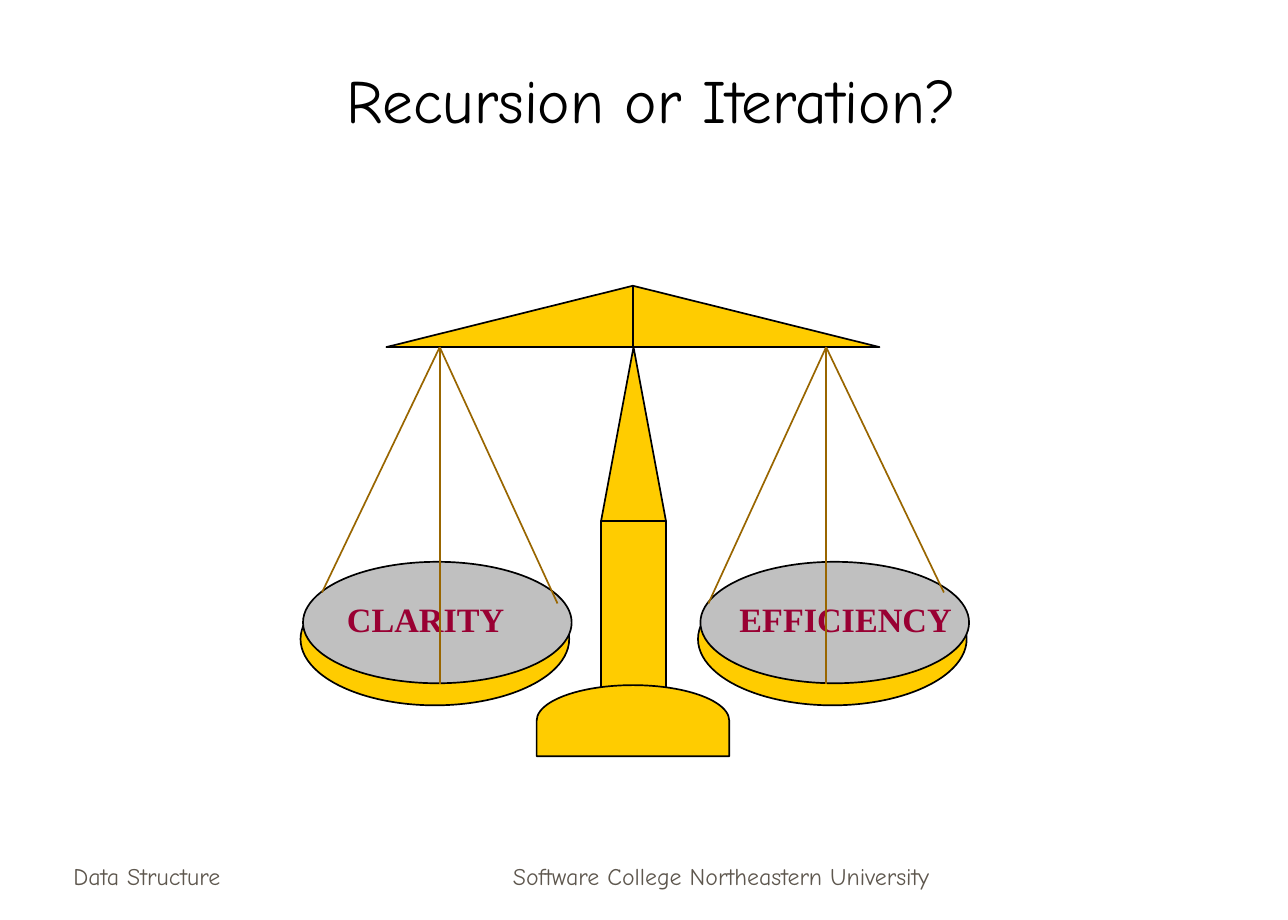
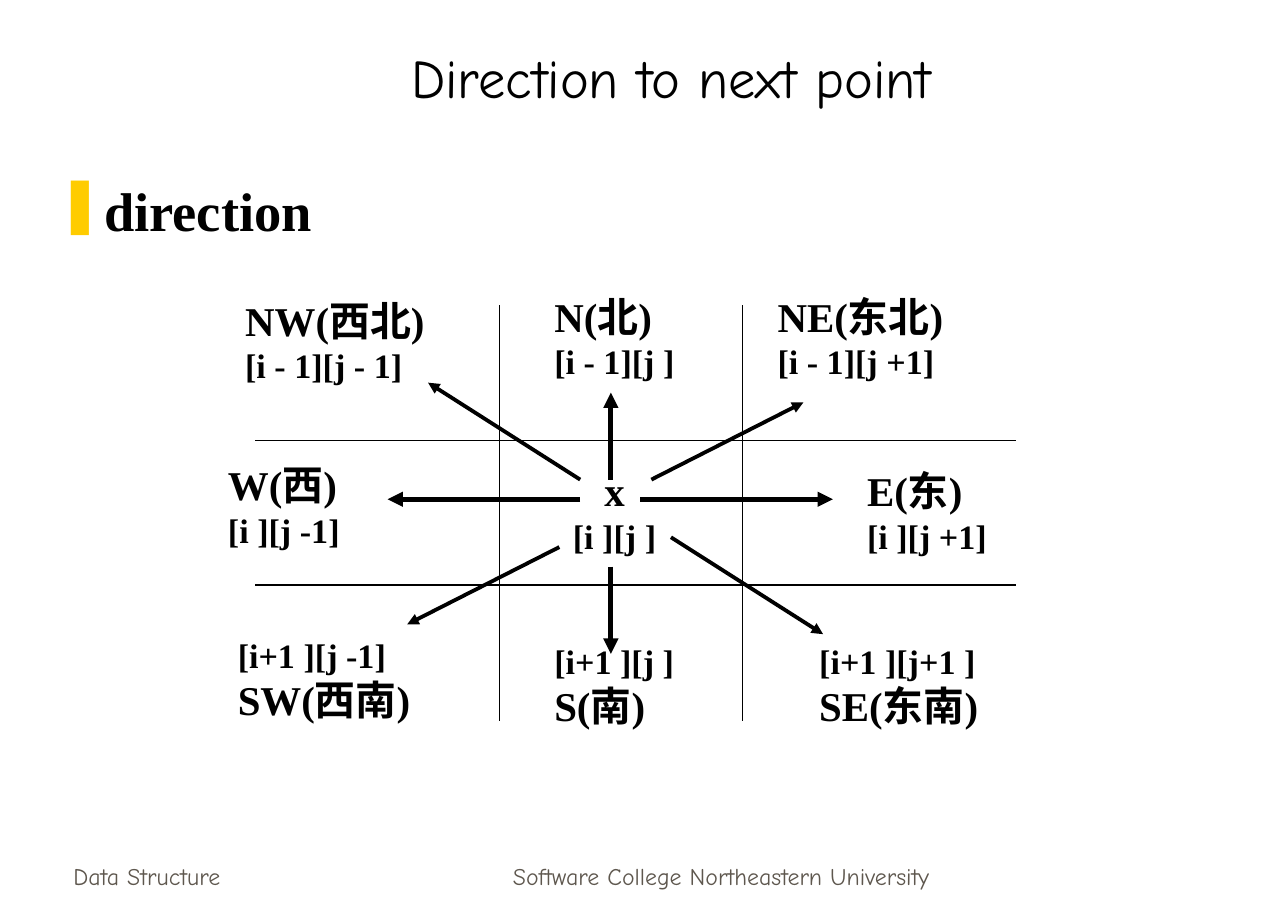
from dataclasses import dataclass

from lxml.etree import SubElement
from pptx import Presentation
from pptx.dml.color import RGBColor
from pptx.enum.shapes import MSO_CONNECTOR, MSO_SHAPE
from pptx.enum.text import MSO_ANCHOR, MSO_AUTO_SIZE, PP_ALIGN
from pptx.oxml.ns import qn
from pptx.util import Inches, Pt


@dataclass(frozen=True)
class Theme:
    ink: str = "000000"
    gold: str = "FFCC00"
    silver: str = "C0C0C0"
    string: str = "996600"
    wine: str = "990033"
    footer: str = "5E574E"
    hand: str = "Comic Neue"
    serif: str = "Times New Roman"
    outline: float = 1
    grid: float = 0.75
    straight_arrow: float = 3
    diagonal_arrow: float = 2.25

    def style(self, size, color, name, bold=False):
        return {"size": Pt(size), "name": name, "bold": bold, "color": color}


T = Theme()
TITLE = T.style(36, T.ink, T.hand)
SMALL_TITLE = T.style(32, T.ink, T.hand)
FOOTER = T.style(14, T.footer, T.hand)
BULLET = T.style(32, T.ink, T.serif, True)
PAN_LABEL = T.style(20, T.wine, T.serif, True)
COMPASS = T.style(24, T.ink, T.serif, True)
INDEX = T.style(20, T.ink, T.serif, True)

FOOTERS = [
    ((0.5, 6.81, 2.19, 0.5), "Data Structure", PP_ALIGN.LEFT),
    ((3.59, 6.81, 4.58, 0.5), "Software College Northeastern University", PP_ALIGN.CENTER),
]

# left, top, width, lines
DIRECTIONS = [
    (1.9, 2.36, 1.82, ("NW(西北)", "[i - 1][j - 1]")),
    (4.42, 2.33, 1.18, ("N(北)", "[i - 1][j ]")),
    (6.24, 2.33, 1.71, ("NE(东北)", "[i - 1][j +1]")),
    (1.76, 3.7, 1.25, ("W(西)", "[i ][j -1]")),
    (6.97, 3.75, 1.18, ("E(东)", "[i ][j +1]")),
    (1.84, 5.12, 1.76, ("[i+1 ][j -1]", "SW(西南)")),
    (4.42, 5.17, 1.18, ("[i+1 ][j ]", "S(南)")),
    (6.58, 5.17, 1.65, ("[i+1 ][j+1 ]", "SE(东南)")),
]

STRAIGHT_ARROWS = [
    ((4.98, 3.91), (4.98, 3.2)),
    ((4.98, 4.62), (4.98, 5.33)),
    ((4.73, 4.07), (3.16, 4.07)),
    ((5.22, 4.07), (6.79, 4.07)),
]
DIAGONAL_ARROWS = [
    ((4.73, 3.91), (3.49, 3.12)),
    ((5.47, 4.38), (6.71, 5.17)),
    ((5.31, 3.91), (6.55, 3.28)),
    ((4.56, 4.46), (3.32, 5.09)),
]


def rgb(color):
    return RGBColor.from_string(color)


def inches(values):
    return [Inches(v) for v in values]


def add_text(s, box, lines, align=PP_ALIGN.LEFT, anchor=MSO_ANCHOR.TOP, fit=False):
    """Add a text box; lines are (text, style) pairs, fit sizes it to unwrapped text."""
    tf = s.shapes.add_textbox(*inches(box)).text_frame
    tf.word_wrap = not fit
    tf.auto_size = MSO_AUTO_SIZE.SHAPE_TO_FIT_TEXT if fit else MSO_AUTO_SIZE.NONE
    tf.vertical_anchor = anchor
    for i, (text, style) in enumerate(lines):
        p = tf.add_paragraph() if i else tf.paragraphs[0]
        p.alignment = align
        r = p.add_run()
        r.text = text
        for key, value in style.items():
            if key == "color":
                r.font.color.rgb = rgb(value)
            else:
                setattr(r.font, key, value)
    return tf


def add_bullet(p, char, color, indent):
    pPr = p._p.get_or_add_pPr()
    pPr.set("marL", str(Inches(indent)))
    pPr.set("indent", str(-Inches(indent)))
    clr = SubElement(pPr, qn("a:buClr"))
    SubElement(clr, qn("a:srgbClr"), val=color)
    SubElement(pPr, qn("a:buChar"), char=char)


def add_solid(s, kind, box, fill=T.gold):
    sp = s.shapes.add_shape(kind, *inches(box))
    sp.shadow.inherit = False
    sp.fill.solid()
    sp.fill.fore_color.rgb = rgb(fill)
    sp.line.color.rgb = rgb(T.ink)
    sp.line.width = Pt(T.outline)
    return sp


def add_line(s, start, end, width, color=T.ink, arrow=False):
    cx = s.shapes.add_connector(MSO_CONNECTOR.STRAIGHT, *inches(start + end))
    cx.line.color.rgb = rgb(color)
    cx.line.width = Pt(width)
    if arrow:
        SubElement(cx.line._get_or_add_ln(), qn("a:tailEnd"), type="triangle")
    SubElement(cx._element.spPr, qn("a:effectLst"))


def add_slide(prs, title, box, style):
    """Add a blank-layout slide with the shared footers and a centred title."""
    s = prs.slides.add_slide(prs.slide_layouts[6])
    for footer_box, text, align in FOOTERS:
        add_text(s, footer_box, [(text, FOOTER)], align, MSO_ANCHOR.BOTTOM)
    add_text(s, box, [(title, style)], PP_ALIGN.CENTER, MSO_ANCHOR.BOTTOM)
    return s


def add_pan(s, left, label, label_left, label_width):
    add_solid(s, MSO_SHAPE.OVAL, (left, 4.67, 2.19, 1.08))
    add_solid(s, MSO_SHAPE.OVAL, (left + 0.02, 4.58, 2.19, 0.99), T.silver)
    add_text(s, (label_left, 4.83, label_width, 0.43), [(label, PAN_LABEL)], fit=True)


def add_stand(s, center):
    for kind, top in ((MSO_SHAPE.ISOSCELES_TRIANGLE, 2.83), (MSO_SHAPE.RECTANGLE, 4.25)):
        add_solid(s, kind, (center - 0.26, top, 0.53, 1.42))
    foot = add_solid(s, MSO_SHAPE.FLOWCHART_DELAY, (center - 0.29, 5.09, 0.58, 1.57))
    foot.rotation = 270


def add_beam(s, center):
    width = 2.01
    add_solid(s, MSO_SHAPE.RIGHT_TRIANGLE, (center, 2.33, width, 0.5))
    left = add_solid(s, MSO_SHAPE.RIGHT_TRIANGLE, (center - width, 2.33, width, 0.5))
    left._element.spPr.get_or_add_xfrm().set("flipH", "1")


def add_strings(s, center):
    for side in (-1, 1):
        hook = center + side * 1.575
        ends = ((hook - side * 0.96, 4.92), (hook + side * 0.96, 4.83), (hook, 5.58))
        for end in ends:
            add_line(s, (hook, 2.83), end, T.outline, T.string)


def build_scales(prs):
    s = add_slide(prs, "Recursion or Iteration?", (0.67, 0.33, 9.28, 0.83), TITLE)
    center = 5.16
    add_pan(s, 2.45, "CLARITY", 2.73, 1.49)
    add_pan(s, 5.69, "EFFICIENCY", 5.93, 1.93)
    add_stand(s, center)
    add_beam(s, center)
    add_strings(s, center)


def build_directions(prs):
    s = add_slide(prs, "Direction to next point", (0.45, 0, 10.05, 0.94), SMALL_TITLE)
    tf = add_text(s, (0.37, 1.39, 9.87, 0.7), [("direction", BULLET)])
    add_bullet(tf.paragraphs[0], "❚", T.gold, 0.38)

    for y in (3.59, 4.77):
        add_line(s, (2.08, y), (8.28, y), T.grid)
    for x in (4.07, 6.05):
        add_line(s, (x, 2.49), (x, 5.88), T.grid)

    add_text(s, (4.57, 3.75, 0.88, 0.84), [("x", COMPASS), ("[i ][j ]", INDEX)],
             PP_ALIGN.CENTER, fit=True)
    for left, top, width, lines in DIRECTIONS:
        styled = [(t, INDEX if t.startswith("[") else COMPASS) for t in lines]
        add_text(s, (left, top, width, 0.84), styled, fit=True)

    for arrows, width in ((STRAIGHT_ARROWS, T.straight_arrow),
                          (DIAGONAL_ARROWS, T.diagonal_arrow)):
        for start, end in arrows:
            add_line(s, start, end, width, arrow=True)


def main():
    prs = Presentation()
    prs.slide_width, prs.slide_height = inches((10.5, 7.5))
    build_scales(prs)
    build_directions(prs)
    prs.save("out.pptx")


if __name__ == "__main__":
    main()
